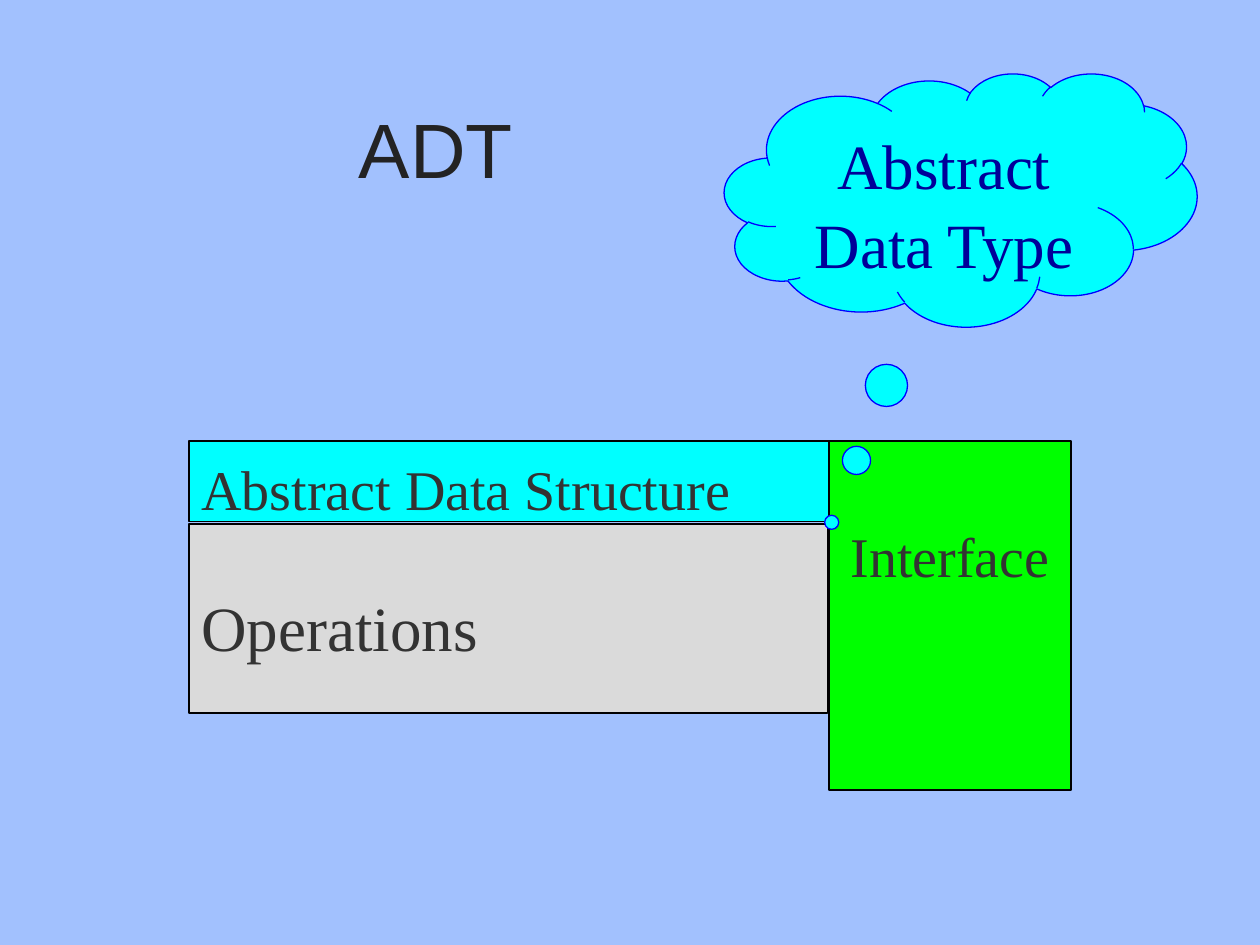
"""Build the ADT slide: a title, three labelled blocks and a thought cloud."""
from dataclasses import dataclass

import pptx
import pptx.dml.color
import pptx.enum.shapes
import pptx.enum.text
import pptx.slide
import pptx.text.text
import pptx.util

Inches = pptx.util.Inches
Pt = pptx.util.Pt
Kind = pptx.enum.shapes.MSO_SHAPE
Align = pptx.enum.text.PP_ALIGN
Anchor = pptx.enum.text.MSO_ANCHOR

COLORS = {
    "back": "A2C1FE",
    "green": "00FF00",
    "gray": "DADADA",
    "cyan": "00FFFF",
    "black": "000000",
    "blue": "0000FF",
    "navy": "000099",
    "dark": "333333",
    "title": "232323",
}


@dataclass(frozen=True)
class Block:
    """A filled shape with one line of text."""

    text: str
    box: tuple[float, float, float, float]
    fill: str
    size: int
    top: float
    align: Align = Align.LEFT
    kind: Kind = Kind.RECTANGLE
    line: str = "black"
    ink: str = "dark"
    tail: tuple[float, ...] = ()
    pitch: float = 1.0


BLOCKS = (
    Block("Interface", (6.58, 3.5, 1.92, 2.77), "green", 32, 0.64, Align.CENTER),
    Block("Operations", (1.5, 4.16, 5.07, 1.5), "gray", 36, 0.51),
    Block("Abstract Data Structure", (1.5, 3.5, 5.08, 0.64), "cyan", 32, 0.11),
    Block("Abstract Data Type", (5.75, 0.58, 3.75, 2.01), "cyan", 36, 0.09,
          Align.CENTER, Kind.CLOUD_CALLOUT, "blue", "navy", (-0.273, 1.274), 1.05),
)


def color(name: str) -> pptx.dml.color.RGBColor:
    """Return the named colour."""
    return pptx.dml.color.RGBColor.from_string(COLORS[name])


def write(frame: pptx.text.text.TextFrame, text: str, face: str, size: int,
          ink: str, align: Align) -> None:
    """Put one styled paragraph in a text frame."""
    frame.word_wrap = True
    para = frame.paragraphs[0]
    para.text = text
    para.alignment = align
    para.font.name = face
    para.font.size = Pt(size)
    para.font.color.rgb = color(ink)


def draw(slide: pptx.slide.Slide, block: Block) -> None:
    """Draw one block."""
    shape = slide.shapes.add_shape(block.kind, *map(Inches, block.box))
    shape.shadow.inherit = False
    for index, value in enumerate(block.tail):
        shape.adjustments[index] = value
    shape.fill.solid()
    shape.fill.fore_color.rgb = color(block.fill)
    shape.line.color.rgb = color(block.line)
    shape.line.width = Pt(0.75)
    frame = shape.text_frame
    frame.vertical_anchor = Anchor.TOP
    frame.margin_top = Inches(block.top)
    frame.margin_bottom = Inches(0)
    write(frame, block.text, "Times New Roman", block.size, block.ink, block.align)
    frame.paragraphs[0].line_spacing = block.pitch


def main() -> None:
    """Build and save the slide."""
    deck = pptx.Presentation()
    deck.slide_width = Inches(10)
    deck.slide_height = Inches(7.5)
    slide = deck.slides.add_slide(deck.slide_layouts[6])
    slide.background.fill.solid()
    slide.background.fill.fore_color.rgb = color("back")
    for block in BLOCKS:
        draw(slide, block)
    title = slide.shapes.add_textbox(*map(Inches, (2.75, 0.67, 6.9, 1)))
    title.text_frame.vertical_anchor = Anchor.MIDDLE
    write(title.text_frame, "ADT", "Arial", 44, "title", Align.LEFT)
    deck.save("out.pptx")


if __name__ == "__main__":
    main()
